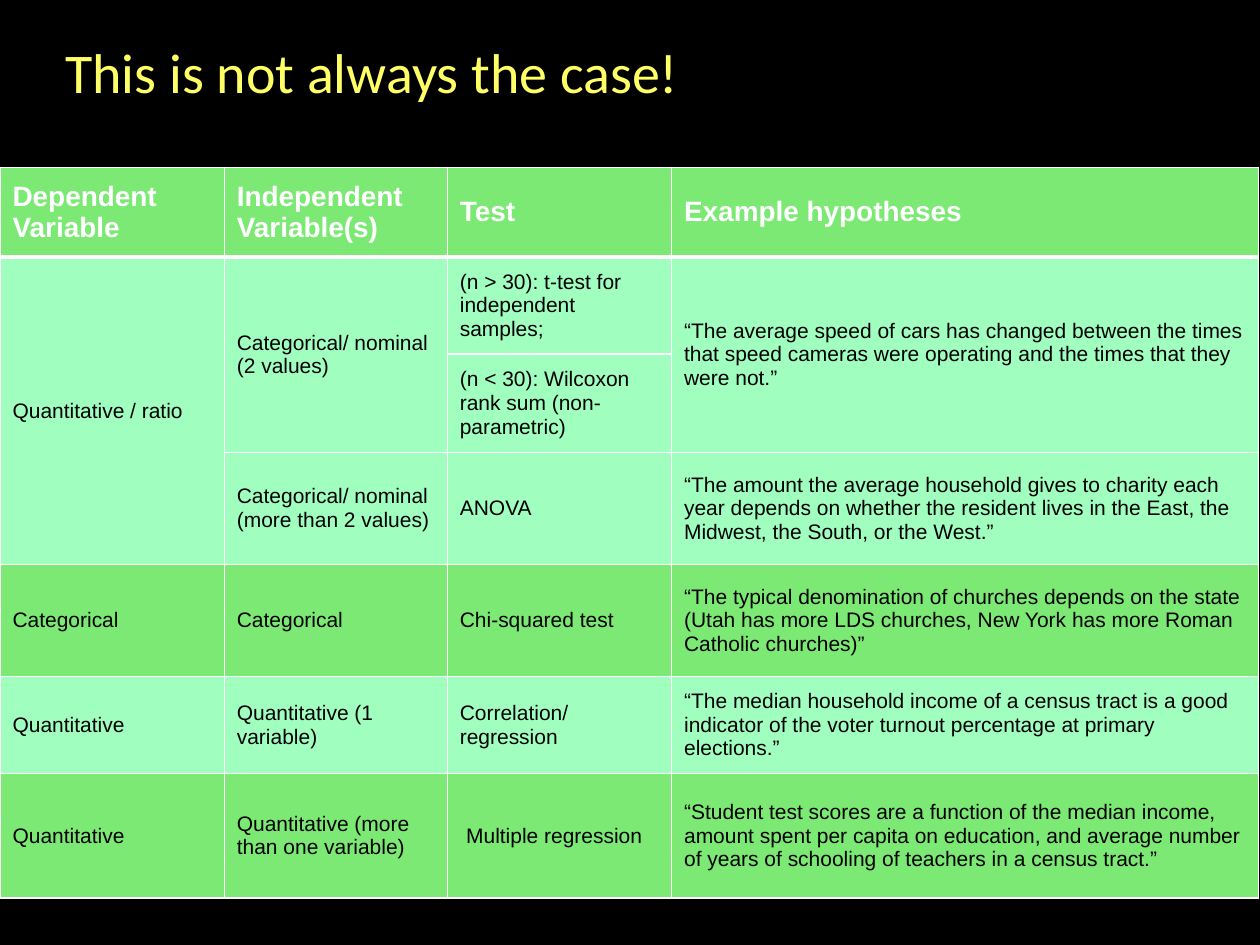
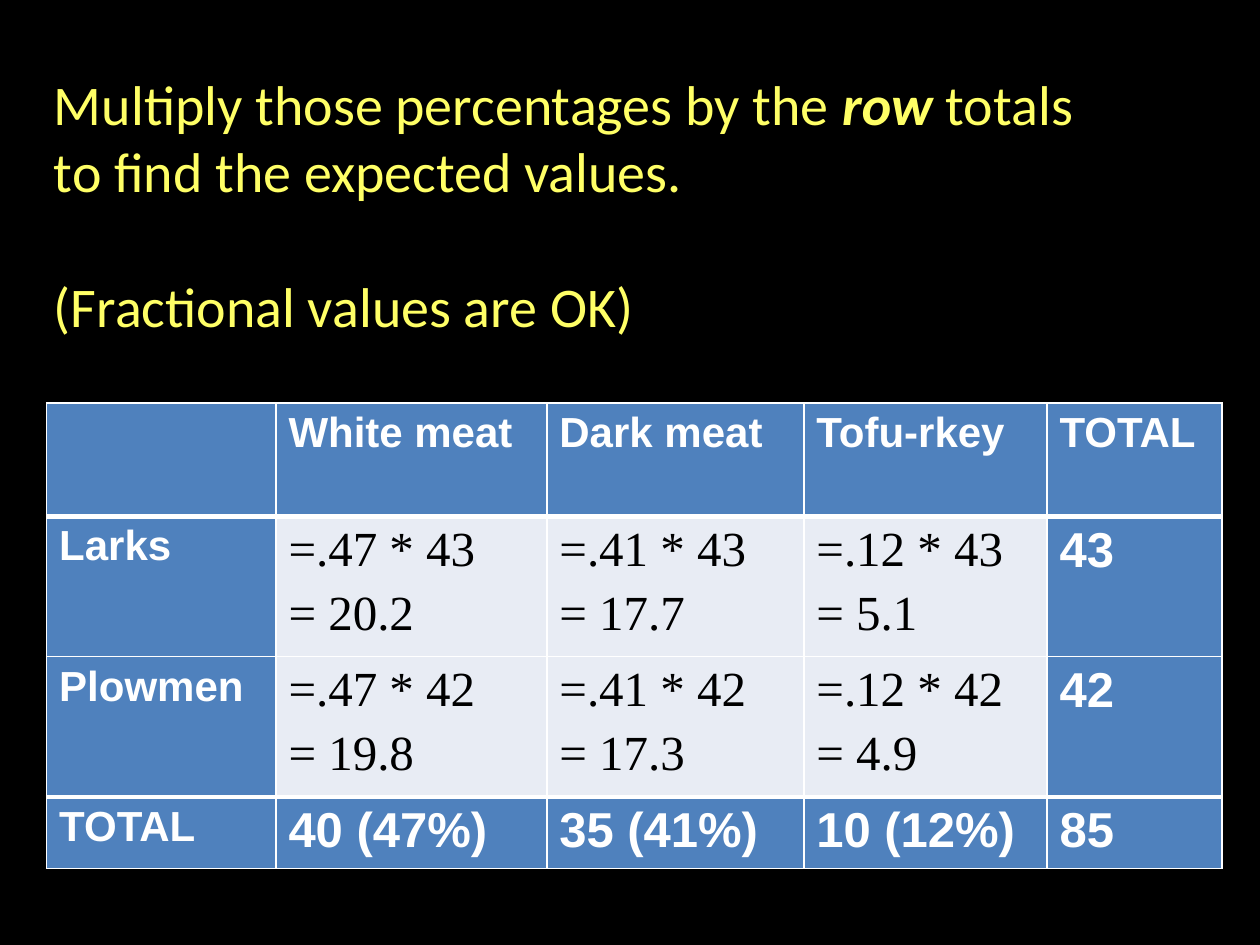
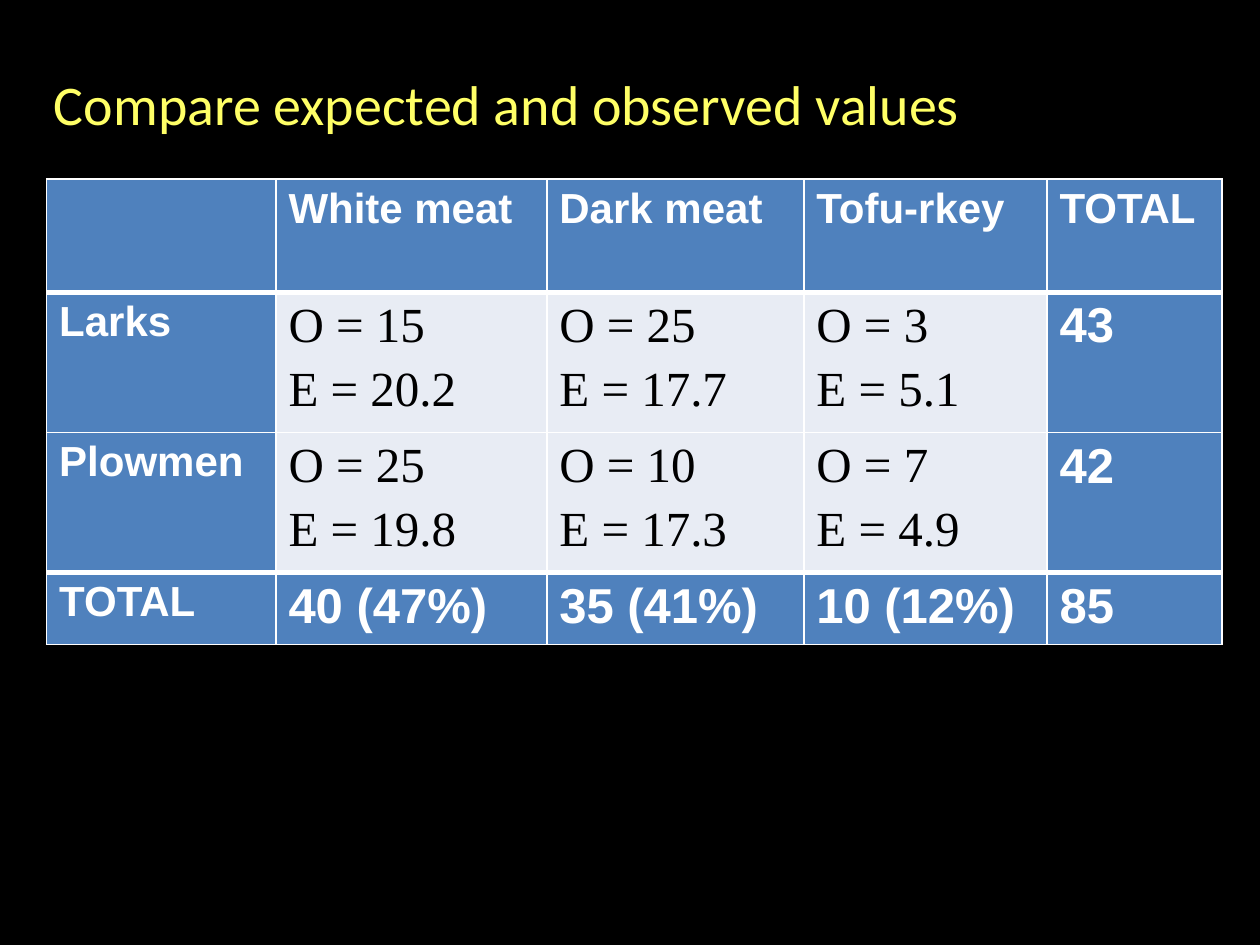
from pptx import Presentation
from pptx import util as u
from pptx.dml.color import RGBColor
from pptx.enum import text
from pptx.oxml import parse_xml
from pptx.oxml.ns import nsdecls

BLACK = RGBColor(0x00, 0x00, 0x00)
WHITE = RGBColor(0xFF, 0xFF, 0xFF)
YELLOW = RGBColor(0xFF, 0xFF, 0x66)
GREEN = RGBColor(0x7B, 0xE9, 0x73)
MINT = RGBColor(0xA0, 0xFE, 0xBF)
BLUE = RGBColor(0x4F, 0x81, 0xBD)
PALE = RGBColor(0xE8, 0xEC, 0xF4)

TITLE = {"name": "Calibri", "size": u.Pt(32), "color": YELLOW}
HEAD = {"name": "Arial", "size": u.Pt(16), "color": WHITE, "bold": True}
BODY = {"name": "Arial", "size": u.Pt(12), "color": BLACK, "bold": False}
LABEL = {**HEAD, "size": u.Pt(24)}
TOTAL = {**HEAD, "size": u.Pt(28)}
COUNT = {"name": "Times New Roman", "size": u.Pt(28), "color": BLACK, "bold": False}

prs = Presentation()
prs.slide_width, prs.slide_height = u.Inches(10), u.Inches(7.5)


def write(para, words, look):
    """Add one run to a paragraph and format it."""
    run = para.add_run()
    run.text = words
    for key, value in look.items():
        if key == "color":
            run.font.color.rgb = value
        else:
            setattr(run.font, key, value)


def grid(slide, left, top, cols, rows, data, style, heavy):
    """Draw a table; style(row, col) gives fill and font, heavy lists the thick rules by row."""
    box = [u.Inches(n) for n in (left, top, sum(cols), sum(rows))]
    table = slide.shapes.add_table(len(rows), len(cols), *box).table
    table.horz_banding = False
    for col, width in zip(table.columns, cols):
        col.width = u.Inches(width)
    for row, height in zip(table.rows, rows):
        row.height = u.Inches(height)
    for r, line in enumerate(data):
        for c, words in enumerate(line):
            cell = table.cell(r, c)
            fill, look = style(r, c)
            cell.fill.solid()
            cell.fill.fore_color.rgb = fill
            frame = cell.text_frame
            for n, part in enumerate(words.split("\n") if words else []):
                if n:
                    frame.paragraphs[-1].space_after = u.Pt(5.6)
                para = frame.add_paragraph() if n else frame.paragraphs[0]
                write(para, part, look)
            widths = {"L": 1, "R": 1, "T": 3 if r in heavy else 1,
                      "B": 3 if r + 1 in heavy else 1}
            for n, (side, width) in enumerate(widths.items()):
                cell._tc.get_or_add_tcPr().insert(n, parse_xml(
                    f'<a:ln{side} {nsdecls("a")} w="{u.Pt(width)}"><a:solidFill>'
                    f'<a:srgbClr val="{WHITE}"/></a:solidFill></a:ln{side}>'))
    return table


titles = [
    ((0.42, 0.25, 7.14, 0.64), [[("This is not always the case!", {})]]),
    ((0.33, 0.5, 8.67, 2.79), [
        [("Multiply those percentages by the ", {}),
         ("row ", {"bold": True, "italic": True}),
         ("totals to find the expected values.", {})],
        [("(Fractional values are OK)", {})]]),
    ((0.33, 0.5, 8.67, 1.18), [[("Compare expected and observed values", {})]]),
]
slides = []
for box, paras in titles:
    slide = prs.slides.add_slide(prs.slide_layouts[6])
    slide.background.fill.solid()
    slide.background.fill.fore_color.rgb = BLACK
    frame = slide.shapes.add_textbox(*[u.Inches(n) for n in box]).text_frame
    frame.word_wrap = True
    for n, runs in enumerate(paras):
        para = frame.add_paragraph() if n else frame.paragraphs[0]
        if n:
            para.space_before = u.Pt(39)
        for words, extra in runs:
            write(para, words, {**TITLE, **extra})
    slides.append(slide)

# Slide 1: which test suits which variables
tests = [
    ["Dependent Variable", "Independent Variable(s)", "Test", "Example hypotheses"],
    ["Quantitative / ratio", "Categorical/ nominal (2 values)",
     "(n > 30): t-test for independent samples;",
     "“The average speed of cars has changed between the times that speed cameras "
     "were operating and the times that they were not.”"],
    ["", "", "(n < 30): Wilcoxon rank sum (non-parametric)", ""],
    ["", "Categorical/ nominal (more than 2 values)", "ANOVA",
     "“The amount the average household gives to charity each year depends on whether "
     "the resident lives in the East, the Midwest, the South, or the West.”"],
    ["Categorical", "Categorical", "Chi-squared test",
     "“The typical denomination of churches depends on the state (Utah has more LDS "
     "churches, New York has more Roman Catholic churches)”"],
    ["Quantitative", "Quantitative (1 variable)", "Correlation/ regression",
     "“The median household income of a census tract is a good indicator of the voter "
     "turnout percentage at primary elections.”"],
    ["Quantitative", "Quantitative (more than one variable)", "Multiple regression",
     "“Student test scores are a function of the median income, amount spent per capita "
     "on education, and average number of years of schooling of teachers in a census tract.”"],
]
table = grid(slides[0], 0, 1.33, [1.78, 1.77, 1.78, 4.66],
             [0.71, 0.77, 0.78, 0.89, 0.89, 0.77, 0.99], tests,
             lambda r, c: (GREEN if r in (0, 4, 6) else MINT, BODY if r else HEAD), [1])
for cell in table.iter_cells():
    cell.vertical_anchor = text.MSO_ANCHOR.MIDDLE
table.cell(6, 2).margin_left = u.Inches(0.15)
for col, last in ((0, 3), (1, 2), (3, 2)):
    table.cell(1, col).merge(table.cell(last, col))

# Slides 2 and 3: the same cross table with different counts
teams = [("Larks", "43"), ("Plowmen", "42")]
expect = [["=.47 * 43\n= 20.2", "=.41 * 43\n= 17.7", "=.12 * 43\n= 5.1"],
          ["=.47 * 42\n= 19.8", "=.41 * 42\n= 17.3", "=.12 * 42\n= 4.9"]]
compare = [["O = 15\nE = 20.2", "O = 25\nE = 17.7", "O = 3\nE = 5.1"],
           ["O = 25\nE = 19.8", "O = 10\nE = 17.3", "O = 7\nE = 4.9"]]


def tone(r, c):
    """Pale counts inside a blue frame of labels and totals."""
    if r in (1, 2) and c in (1, 2, 3):
        return PALE, COUNT
    return BLUE, TOTAL if r and c else LABEL


for slide, top, counts in ((slides[1], 3.2, expect), (slides[2], 1.42, compare)):
    data = [["", "White meat", "Dark meat", "Tofu-rkey", "TOTAL"]]
    data += [[team, *line, total] for (team, total), line in zip(teams, counts)]
    data += [["TOTAL", "40 (47%)", "35 (41%)", "10 (12%)", "85"]]
    grid(slide, 0.37, top, [1.82, 2.15, 2.04, 1.93, 1.39],
         [0.9, 1.03, 1.03, 0.57], data, tone, [1, 3])

prs.save("out.pptx")
